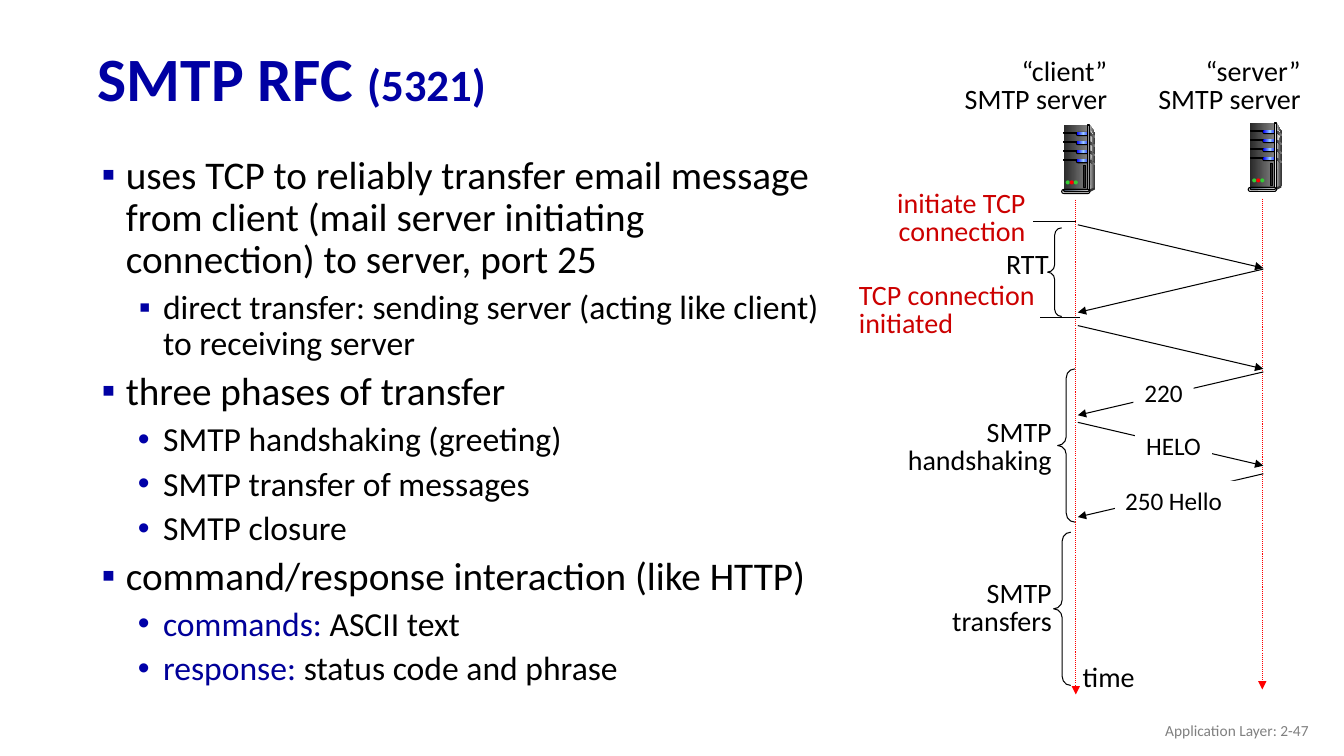
from lxml import etree
from pptx import Presentation
from pptx.dml.color import RGBColor
from pptx.enum.dml import MSO_LINE
from pptx.enum.shapes import MSO_CONNECTOR, MSO_SHAPE
from pptx.enum.text import MSO_ANCHOR, PP_ALIGN
from pptx.oxml.ns import qn
from pptx.util import Cm, Pt

STRAIGHT, DOTTED = MSO_CONNECTOR.STRAIGHT, MSO_LINE.ROUND_DOT
RECT, ROUND = MSO_SHAPE.RECTANGLE, MSO_SHAPE.ROUNDED_RECTANGLE
OVAL, BRACE = MSO_SHAPE.OVAL, MSO_SHAPE.LEFT_BRACE
LEFT, CENTER, RIGHT = PP_ALIGN.LEFT, PP_ALIGN.CENTER, PP_ALIGN.RIGHT
TOP, MIDDLE = MSO_ANCHOR.TOP, MSO_ANCHOR.MIDDLE

THEME = dict(font="Calibri", ink="000000", title="0000A3", dot="0000A8", key="000099",
             alert="CC0000", axis="FF0000", paper="FFFFFF", footer="808080",
             title_size=44, rfc_size=32, main=28, sub=24, label=20, message=18, small=11, line=0.75)

# ---- Content (positions in inches, turned into Cm by u) ----
TITLE = [("SMTP RFC ", "title_size", "title"), ("(5321)", "rfc_size", "title")]
SQUARE, DOT = ("\u25aa", "title", -0.24), ("\u2022", "dot", -0.25)
BULLETS = [  # level, bullet, runs
    (0, SQUARE, [("uses TCP to reliably transfer email message from client "
                  "(mail server initiating connection) to server, port 25", "ink")]),
    (1, SQUARE, [("direct transfer: sending server (acting like client) to receiving server", "ink")]),
    (0, SQUARE, [("three phases of transfer", "ink")]),
    (1, DOT, [("SMTP handshaking (greeting)", "ink")]),
    (1, DOT, [("SMTP transfer of messages", "ink")]),
    (1, DOT, [("SMTP closure", "ink")]),
    (0, SQUARE, [("command/response interaction (like HTTP)", "ink")]),
    (1, DOT, [("commands:", "key"), (" ASCII text", "ink")]),
    (1, DOT, [("response:", "key"), (" status code and phrase", "ink")]),
]
CLIENT_X, SERVER_X = 10.69, 12.53
TIMELINES = [(10.67, 1.98, 6.89), (12.52, 1.97, 6.84)]
TO_SERVER, TO_CLIENT = (CLIENT_X, SERVER_X), (SERVER_X, CLIENT_X)
ARROWS = [(TO_SERVER, 2.23), (TO_CLIENT, 2.67), (TO_SERVER, 3.23),
          (TO_CLIENT, 3.69), (TO_SERVER, 4.19), (TO_CLIENT, 4.70)]
ARROW_DROP = 0.43
TICKS = [(10.25, 10.67, 2.2), (10.32, 10.71, 3.15)]
BRACES = [(10.39, 2.26, 0.14, 0.88), (10.49, 3.66, 0.17, 1.52), (10.45, 5.28, 0.17, 1.52)]
LABELS = [  # lines, box, alignment, colour, wraps
    (["initiate TCP", "connection"], (8.78, 1.84, 1.49, 0.68), RIGHT, "alert", False),
    (["RTT"], (9.88, 2.45, 0.63, 0.39), LEFT, "ink", False),
    (["TCP connection", "initiated"], (8.42, 2.75, 2.4, 0.68), LEFT, "alert", True),
    (["SMTP handshaking"], (8.71, 4.11, 1.82, 0.68), RIGHT, "ink", True),
    (["SMTP transfers"], (8.71, 5.71, 1.82, 0.68), RIGHT, "ink", True),
    (["time"], (10.64, 6.54, 0.73, 0.39), LEFT, "ink", False),
    (["\u201cclient\u201d", "SMTP server"], (9.39, 0.53, 1.69, 0.68), RIGHT, "ink", False),
    (["\u201cserver\u201d", "SMTP server"], (11.31, 0.53, 1.69, 0.68), RIGHT, "ink", False),
]
MESSAGES = [("220", (11.24, 3.69, 0.6, 0.4), CENTER),
            ("250 Hello", (11.06, 4.77, 1.23, 0.4), LEFT),
            ("HELO", (11.26, 4.22, 0.76, 0.4), CENTER)]
FOOTER = "Application Layer: 2-47"

# ---- Server tower: parts relative to its front's top left corner ----
TOWERS = [(12.4, 1.22), (10.55, 1.24)]
DARK, BLUE = ["292929", "808080"], ["0000FF", "99CCFF", "0000FF"]
SLOTS = [0.07, 0.16, 0.25, 0.34]
SIDE = [  # outline, fill
    ([(0.26, 0), (0.31, 0.08), (0.31, 0.62), (0.24, 0.65)], ["DDDDDD", "333333"]),
    ([(0.26, 0.04), (0.29, 0.09), (0.27, 0.35), (0.26, 0.63)], ["808080", "F8F8F8"]),
    ([(0.25, 0.64), (0.25, 0.67), (0.31, 0.64), (0.31, 0.62)], ["333333"]),
]
SIDE += [([(0.25, y), (0.31, y + 0.04), (0.31, y + 0.06), (0.25, y + 0.02)], DARK) for y in SLOTS]
FRONT = [(RECT, (0, 0, 0.24, 0.65), DARK, False)]  # preset, box, fill, outlined
for y in SLOTS:
    FRONT += [(RECT, (0, y, 0.14, 0.01), ["000000"], True),
              (ROUND, (0.12, y, 0.14, 0.04), ["000000"], False),
              (ROUND, (0.13, y, 0.13, 0.03), BLUE, False)]
FRONT += [(RECT, (0.24, 0, 0.02, 0.65), ["333333", "DDDDDD", "333333"], True),
          (ROUND, (-0.02, 0.64, 0.28, 0.04), ["DDDDDD"], True),
          (ROUND, (0, 0.64, 0.25, 0.02), ["44546A", "E7E6E6"], True)]
FRONT += [(OVAL, (0.02 + 0.04 * i, 0.55, 0.04, 0.04), [c], False)
          for i, c in enumerate(["33CC33", "FF0000", "33CC33"])]
FRONT += [(RECT, (0.2, 0.4, 0.02, 0.22), ["292929"], True)]


def u(inches):
    return Cm(inches * 2.54)


def rgb(name):
    return RGBColor.from_string(THEME.get(name, name))


def paint(sp, colors, outlined):
    """Solid fill for one colour, evenly spaced gradient for more, none if empty."""
    sp.shadow.inherit = False
    if len(colors) > 1:
        sp.fill.gradient()
        sp.fill.gradient_angle = 0
        stops = next(sp._element.spPr.iter(qn("a:gsLst")))
        for old in list(stops):
            stops.remove(old)
        for i, c in enumerate(colors):
            gs = etree.SubElement(stops, qn("a:gs"), pos=str(100000 * i // (len(colors) - 1)))
            etree.SubElement(gs, qn("a:srgbClr"), val=c)
    elif colors:
        sp.fill.solid()
        sp.fill.fore_color.rgb = rgb(colors[0])
    else:
        sp.fill.background()
    if outlined:
        sp.line.color.rgb = rgb("ink")
        sp.line.width = Pt(THEME["line"])
    else:
        sp.line.fill.background()


def add_preset(shapes, preset, box, colors, outlined):
    sp = shapes.add_shape(preset, *map(u, box))
    paint(sp, colors, outlined)
    if preset == ROUND:
        sp.adjustments[0] = 0.5
    return sp


def add_line(x1, y1, x2, y2, color="ink", arrow=True, dash=None):
    c = s.shapes.add_connector(STRAIGHT, u(x1), u(y1), u(x2), u(y2))
    c.line.color.rgb = rgb(color)
    c.line.width = Pt(THEME["line"])
    if dash:
        c.line.dash_style = dash
    if arrow:
        etree.SubElement(c.line._get_or_add_ln(), qn("a:tailEnd"), type="triangle")
    etree.SubElement(c._element.spPr, qn("a:effectLst"))


def write(sp, paragraphs, align=LEFT, spacing=1.0, wrap=True, anchor=TOP, bold=False):
    """Each paragraph is a list of (text, size name, colour name)."""
    tf = sp.text_frame
    tf.word_wrap, tf.vertical_anchor = wrap, anchor
    for i, runs in enumerate(paragraphs):
        p = tf.add_paragraph() if i else tf.paragraphs[0]
        p.alignment, p.line_spacing = align, spacing
        for text, size, color in runs:
            r = p.add_run()
            r.text = text
            r.font.name, r.font.size, r.font.bold = THEME["font"], Pt(THEME[size]), bold
            r.font.color.rgb = rgb(color)
    return tf


def add_text(box, paragraphs, **style):
    return write(s.shapes.add_textbox(*map(u, box)), paragraphs, **style)


prs = Presentation()
prs.slide_width, prs.slide_height = u(13.33), u(7.5)
s = prs.slides.add_slide(prs.slide_layouts[6])

# Title and bullets
add_text((0.87, 0.32, 11.5, 0.98), [TITLE], spacing=0.9, anchor=MIDDLE, bold=True)
tf = add_text((0.76, 1.49, 7.53, 5.08),
              [[(t, ("main", "sub")[lvl], c) for t, c in runs] for lvl, _, runs in BULLETS], spacing=0.9)
for p, (level, (char, color, indent), _) in zip(tf.paragraphs, BULLETS):
    p.level, p.space_before = level, Pt(6)
    pPr = p._p.get_or_add_pPr()
    pPr.set("marL", str(u((0.39, 0.76)[level])))
    pPr.set("indent", str(u(indent)))
    etree.SubElement(etree.SubElement(pPr, qn("a:buClr")), qn("a:srgbClr"), val=THEME[color])
    etree.SubElement(pPr, qn("a:buFont"), typeface="Arial")
    etree.SubElement(pPr, qn("a:buChar"), char=char)

# Timelines, ticks and message arrows
for x, y1, y2 in TIMELINES:
    add_line(x, y1, x, y2, "axis", dash=DOTTED)
for x1, x2, y in TICKS:
    add_line(x1, y, x2, y, arrow=False)
for (x1, x2), y in ARROWS:
    add_line(x1, y, x2, y + ARROW_DROP)

# Server towers
for left, top in TOWERS:
    tower = s.shapes.add_group_shape()
    for outline, colors in SIDE:
        points = [(u(left + x), u(top + y)) for x, y in outline]
        fb = tower.shapes.build_freeform(*points[0])
        fb.add_line_segments(points[1:], close=True)
        paint(fb.convert_to_shape(), colors, False)
    for preset, (x, y, w, h), colors, outlined in FRONT:
        add_preset(tower.shapes, preset, (left + x, top + y, w, h), colors, outlined)

# Message names, braces, labels and footer
for text, box, align in MESSAGES:
    write(add_preset(s.shapes, RECT, box, ["paper"], False), [[(text, "message", "ink")]], align=align)
for box in BRACES:
    add_preset(s.shapes, BRACE, box, [], True).adjustments[0] = 0.52
for lines, box, align, color, wrap in LABELS:
    add_text(box, [[(t, "label", color)] for t in lines], align=align, spacing=0.85, wrap=wrap)
add_text((10.08, 7.05, 3, 0.4), [[(FOOTER, "small", "footer")]], align=RIGHT, anchor=MIDDLE)

prs.save("out.pptx")
